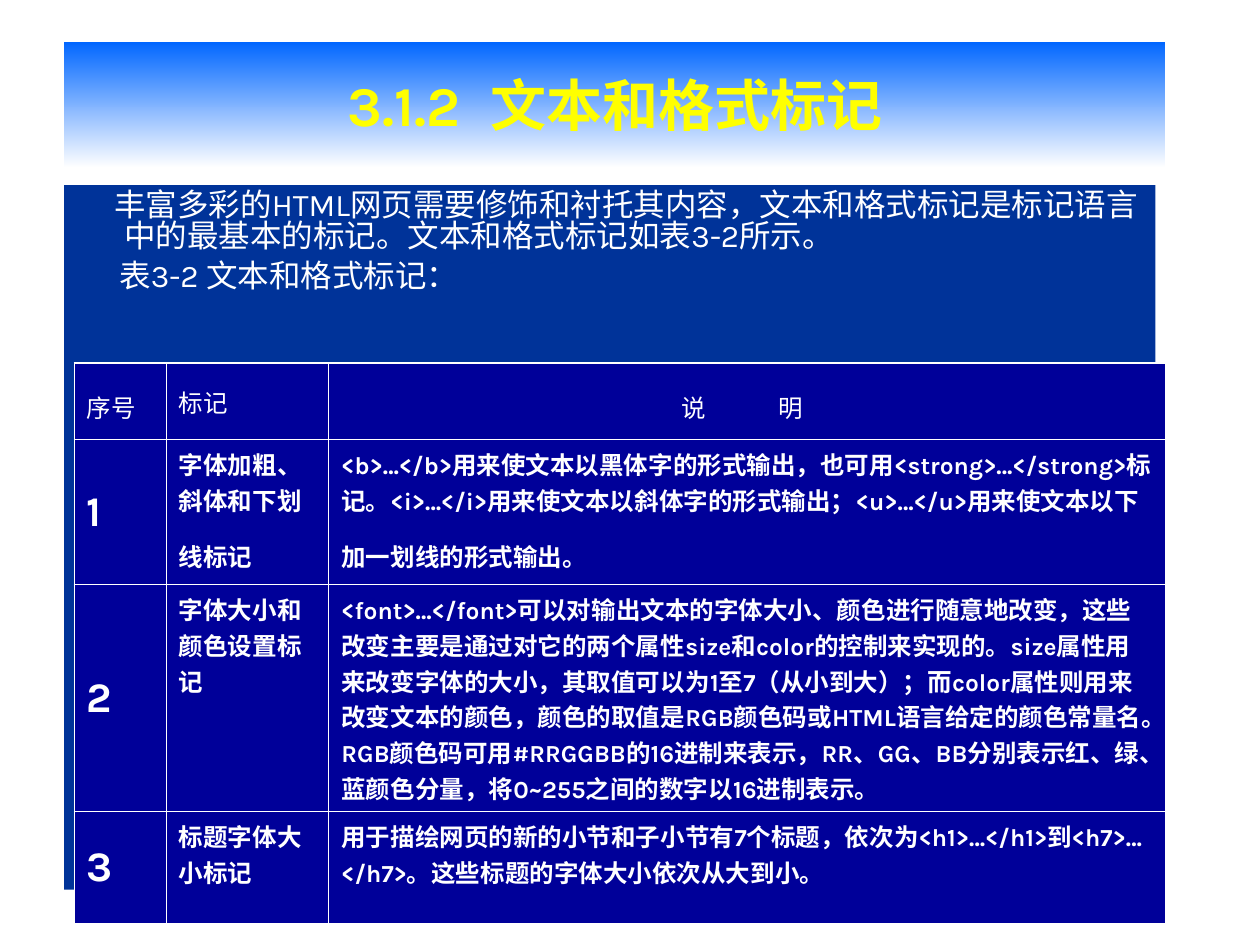
from lxml.etree import SubElement
from pptx import Presentation
from pptx.dml.color import RGBColor
from pptx.enum.shapes import MSO_SHAPE
from pptx.enum.text import MSO_ANCHOR, PP_ALIGN
from pptx.oxml.ns import qn
from pptx.util import Inches, Pt

WHITE = RGBColor(0xFF, 0xFF, 0xFF)
YELLOW = RGBColor(0xFF, 0xFF, 0x00)
SKY = RGBColor(0x00, 0x66, 0xFF)
NAVY = RGBColor(0x00, 0x33, 0x99)
INDIGO = RGBColor(0x00, 0x00, 0x99)
FONT = "Karla"

LEFT = 0.51
COLUMNS = [0.73, 1.29, 6.64]
ROWS = [0.61, 1.05, 1.5, 0.89]
OUTER, INNER = 1.08, 0.45

TITLE_RUN = {"size": Pt(32), "bold": True}
BODY_RUN = {"size": Pt(18), "bold": False}
HEAD_RUN = {"size": Pt(14), "bold": False}
CELL_RUN = {"size": Pt(14), "bold": True}
NUMBER_RUN = {"size": Pt(24), "bold": True}
TALL_SPACE = (" ", NUMBER_RUN)  # raises the height of the line it ends

INTRO = [
    ("丰富多彩的HTML网页需要修饰和衬托其内容，文本和格式标记是标记语言中的最基本的标记。"
     "文本和格式标记如表3-2所示。", -0.08),
    ("表3-2 文本和格式标记：", -0.04),
]

# Each cell: runs, space before in points
HEADER = [
    ([("序号", HEAD_RUN), TALL_SPACE], 6),
    ([("标记", HEAD_RUN)], 3.5),
    ([("说", HEAD_RUN, 41), ("明", HEAD_RUN), TALL_SPACE], 6),
]
TAGS = [
    ([("字体加粗、斜体和下划线标记", CELL_RUN), TALL_SPACE], 6,
     [("<b>…</b>用来使文本以黑体字的形式输出，也可用<strong>…</strong>标记。"
       "<i>…</i>用来使文本以斜体字的形式输出；"
       "<u>…</u>用来使文本以下加一划线的形式输出。", CELL_RUN), TALL_SPACE], 0),
    ([("字体大小和颜色设置标记", CELL_RUN)], 3.5,
     [("<font>…</font>可以对输出文本的字体大小、颜色进行随意地改变，"
       "这些改变主要是通过对它的两个属性size和color的控制来实现的。"
       "size属性用来改变字体的大小，其取值可以为1至7（从小到大）；"
       "而color属性则用来改变文本的颜色，颜色的取值是RGB颜色码或HTML语言给定的颜色常量名。"
       "RGB颜色码可用#RRGGBB的16进制来表示，RR、GG、BB分别表示红、绿、蓝颜色分量，"
       "将0~255之间的数字以16进制表示。", CELL_RUN)], 3.5),
    ([("标题字体大小标记", CELL_RUN)], 3.5,
     [("用于描绘网页的新的小节和子小节有7个标题，依次为<h1>…</h1>到<h7>…</h7>。"
       "这些标题的字体大小依次从大到小。", CELL_RUN)], 3.5),
]


def apply(target, values):
    for name, value in values.items():
        setattr(target, name, value)


def write(paragraph, runs, color=WHITE, **layout):
    """Fill a paragraph with (text, format[, letter spacing]) runs."""
    apply(paragraph, layout)
    for text, style, *spacing in runs:
        run = paragraph.add_run()
        run.text = text
        apply(run.font, {"name": FONT, **style})
        run.font.color.rgb = color
        for points in spacing:
            run.font._element.set("spc", str(points * 100))


def add_title(slide):
    title = slide.shapes.title
    apply(title, {"left": Inches(LEFT), "top": Inches(0.33),
                  "width": Inches(8.74), "height": Inches(1)})
    title.fill.gradient()
    title.fill.gradient_angle = 270
    for stop, color in zip(title.fill.gradient_stops, (SKY, WHITE)):
        stop.color.rgb = color
    title.text_frame.vertical_anchor = MSO_ANCHOR.MIDDLE
    write(title.text_frame.paragraphs[0],
          [("3.1.2", TITLE_RUN), (" ", TITLE_RUN, 9), ("文本和格式标记", TITLE_RUN)],
          YELLOW, alignment=PP_ALIGN.CENTER)


def add_intro(slide):
    panel = slide.shapes.add_shape(MSO_SHAPE.RECTANGLE, Inches(LEFT), Inches(1.47),
                                   Inches(8.66), Inches(5.59))
    panel.shadow.inherit = False
    panel.fill.solid()
    panel.fill.fore_color.rgb = NAVY
    panel.line.fill.background()
    frame = panel.text_frame
    apply(frame, {"word_wrap": True, "vertical_anchor": MSO_ANCHOR.TOP})
    for index, (text, indent) in enumerate(INTRO):
        paragraph = frame.add_paragraph() if index else frame.paragraphs[0]
        write(paragraph, [(text, BODY_RUN)], alignment=PP_ALIGN.LEFT,
              space_before=Pt(4.5), line_spacing=0.83)
        properties = paragraph._p.get_or_add_pPr()
        properties.set("marL", str(Inches(0.38)))
        properties.set("indent", str(Inches(indent)))


def set_borders(cell, widths):
    properties = cell._tc.get_or_add_tcPr()
    for position, (side, width) in enumerate(widths.items()):
        line = properties.makeelement(qn(f"a:{side}"), {"w": str(Pt(width))})
        fill = SubElement(line, qn("a:solidFill"))
        SubElement(fill, qn("a:srgbClr"), val=str(WHITE))
        properties.insert(position, line)


def add_tag_table(slide):
    table = slide.shapes.add_table(
        len(ROWS), len(COLUMNS), Inches(0.59), Inches(2.88),
        Inches(sum(COLUMNS)), Inches(sum(ROWS))).table
    apply(table, {"first_row": False, "horz_banding": False})
    for column, width in zip(table.columns, COLUMNS):
        column.width = Inches(width)
    for row, height in zip(table.rows, ROWS):
        row.height = Inches(height)

    content = [HEADER] + [
        [([(str(number), NUMBER_RUN)], 6), (tag, tag_space), (usage, usage_space)]
        for number, (tag, tag_space, usage, usage_space) in enumerate(TAGS, 1)]
    last_row, last_column = len(ROWS) - 1, len(COLUMNS) - 1
    for r, cells in enumerate(content):
        for c, (runs, space) in enumerate(cells):
            cell = table.cell(r, c)
            cell.fill.solid()
            cell.fill.fore_color.rgb = INDIGO
            # Numbers and the tag heading sit in the middle of their cells
            middle = (c == 0) != (r == 0) and c < 2
            cell.vertical_anchor = MSO_ANCHOR.MIDDLE if middle else MSO_ANCHOR.TOP
            centred = r == 0 and c == last_column
            write(cell.text_frame.paragraphs[0], runs, space_before=Pt(space),
                  alignment=PP_ALIGN.CENTER if centred else PP_ALIGN.LEFT)
            outside = {"lnL": c == 0, "lnR": c == last_column,
                       "lnT": r == 0, "lnB": r == last_row}
            set_borders(cell, {side: OUTER if edge else INNER
                               for side, edge in outside.items()})


def main():
    deck = Presentation()
    apply(deck, {"slide_width": Inches(10), "slide_height": Inches(7.5)})
    slide = deck.slides.add_slide(deck.slide_layouts[5])
    add_title(slide)
    add_intro(slide)
    add_tag_table(slide)
    deck.save("out.pptx")


if __name__ == "__main__":
    main()
